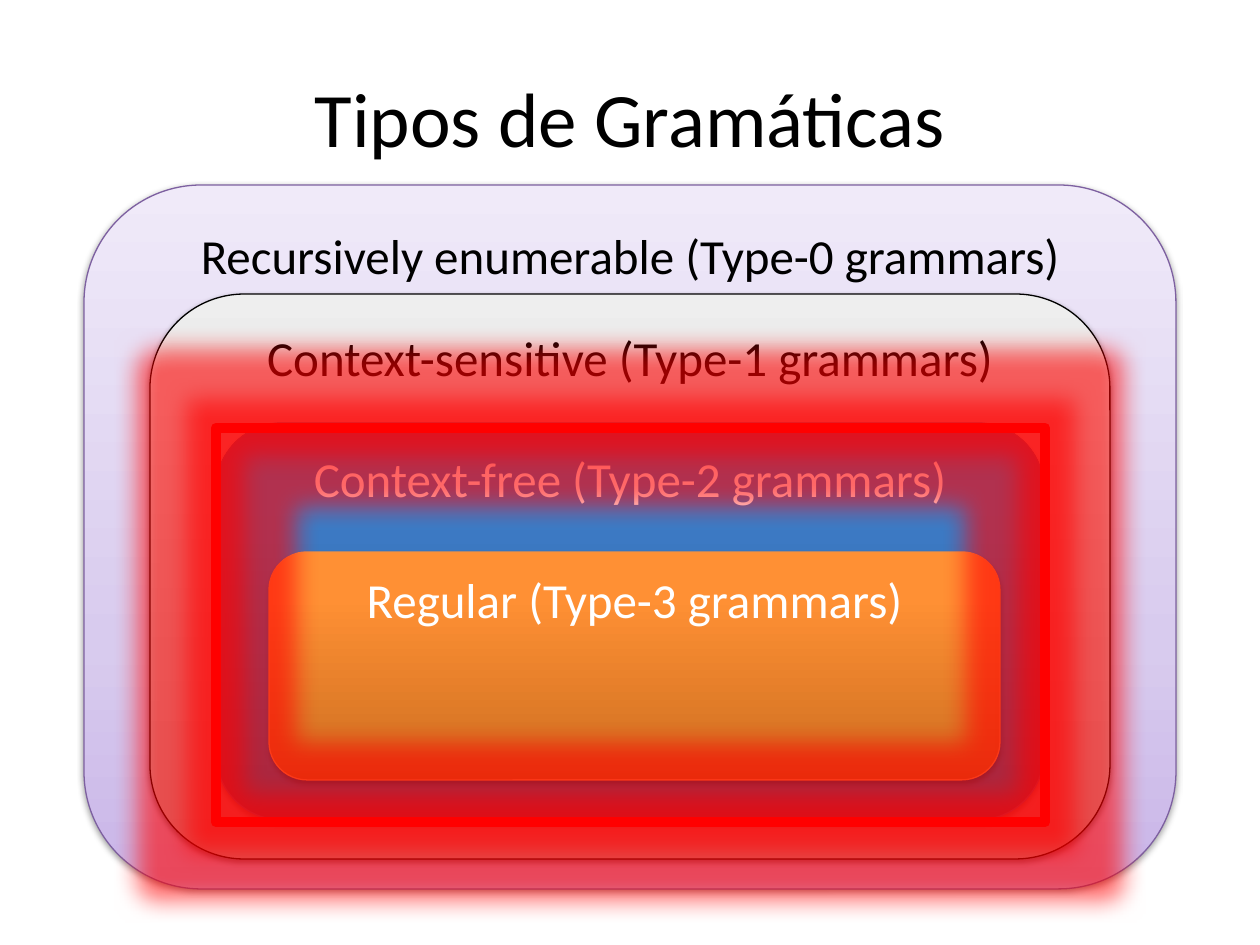
from copy import deepcopy

from lxml.etree import SubElement
from pptx import Presentation
from pptx.dml.color import RGBColor as RGB
from pptx.enum.shapes import MSO_SHAPE as SHAPE
from pptx.enum.text import MSO_ANCHOR as ANCHOR, PP_ALIGN as ALIGN
from pptx.oxml.ns import qn
from pptx.util import Emu, Pt

PX = 914400 // 126
FONT = "Calibri"
COLORS = {"black": "000000", "white": "FFFFFF", "red": "FF0000",
          "purple line": "7D60A0", "blue line": "4B7EBC", "orange line": "F69240"}
LIGHT_SHADOW = {"alpha": 38, "blur": 40000, "dist": 20000}
DEEP_SHADOW = {"alpha": 35, "blur": 38100, "dist": 23000}

TITLE = ("Tipos de Gramáticas", (63, 38, 1134, 157))
# label, box, gradient from bottom to top, line, text, shadow
GRAMMARS = [
    ("Recursively enumerable (Type-0 grammars)", (84, 185, 1092, 704),
     [(0, "C9B5E8"), (0.35, "D8CBEE"), (1, "F0EAF9")], "purple line", "black", LIGHT_SHADOW),
    ("Context-sensitive (Type-1 grammars)", (150, 294, 960, 565),
     [(0, "BDBDBD"), (0.35, "D1D1D1"), (1, "EEEEEE")], "black", "black", LIGHT_SHADOW),
    ("Context-free (Type-2 grammars)", (216, 423, 828, 397),
     [(0, "2F5F99"), (0.8, "3D7CC7"), (1, "3A7CCB")], "blue line", "white", DEEP_SHADOW),
    ("Regular (Type-3 grammars)", (269, 552, 731, 228),
     [(0, "CC6E20"), (0.8, "FF9034"), (1, "FF9136")], "orange line", "white", DEEP_SHADOW),
]
HIGHLIGHT = (216, 428, 829, 394)
GLOW_RADIUS = 49


def color(name):
    """Return the named colour."""
    return RGB.from_string(COLORS[name])


def emu(box):
    """Turn a box in pixels into EMU."""
    return [Emu(length * PX) for length in box]


def write(shape, text, size, ink, anchor):
    """Put one centred paragraph into a shape."""
    frame = shape.text_frame
    frame.word_wrap = True
    frame.vertical_anchor = anchor
    line = frame.paragraphs[0]
    line.text = text
    line.alignment = ALIGN.CENTER
    line.font.name, line.font.size = FONT, Pt(size)
    line.font.color.rgb = color(ink)


def add_outlined(shapes, kind, box, ink, width):
    """Add a preset shape with a plain outline and no theme shadow."""
    shape = shapes.add_shape(kind, *emu(box))
    shape.shadow.inherit = False
    shape.line.color.rgb = color(ink)
    shape.line.width = Pt(width)
    return shape


def add_effect(shape, tag, ink, alpha, **attributes):
    """Add a shadow or a glow to the effect list of a shape."""
    effects = shape._element.spPr.find(qn("a:effectLst"))
    effect = SubElement(effects, qn(tag), {k: str(v) for k, v in attributes.items()})
    tint = SubElement(effect, qn("a:srgbClr"), val=COLORS[ink])
    SubElement(tint, qn("a:alpha"), val=str(alpha * 1000))


def fill_gradient(shape, stops):
    """Fill a shape with a gradient that runs from bottom to top."""
    shape.fill.gradient()
    shape.fill.gradient_angle = 90
    stop_list = next(shape._element.spPr.iter(qn("a:gsLst")))
    while len(stop_list) < len(stops):
        stop_list.append(deepcopy(stop_list[0]))
    for stop, (position, tone) in zip(shape.fill.gradient_stops, stops):
        stop.position = position
        stop.color.rgb = RGB.from_string(tone)


deck = Presentation()
deck.slide_width, deck.slide_height = emu((1260, 945))
shapes = deck.slides.add_slide(deck.slide_layouts[6]).shapes

title, title_box = TITLE
write(shapes.add_textbox(*emu(title_box)), title, 44, "black", ANCHOR.MIDDLE)

for label, box, stops, outline, ink, shadow in GRAMMARS:
    grammar = add_outlined(shapes, SHAPE.ROUNDED_RECTANGLE, box, outline, 0.75)
    fill_gradient(grammar, stops)
    add_effect(grammar, "a:outerShdw", "black", shadow["alpha"], blurRad=shadow["blur"],
               dist=shadow["dist"], dir=5400000, rotWithShape=0)
    write(grammar, label, 28, ink, ANCHOR.TOP)

highlight = add_outlined(shapes, SHAPE.RECTANGLE, HIGHLIGHT, "red", 6)
highlight.fill.background()
add_effect(highlight, "a:glow", "red", 60, rad=GLOW_RADIUS * PX)

deck.save("out.pptx")
